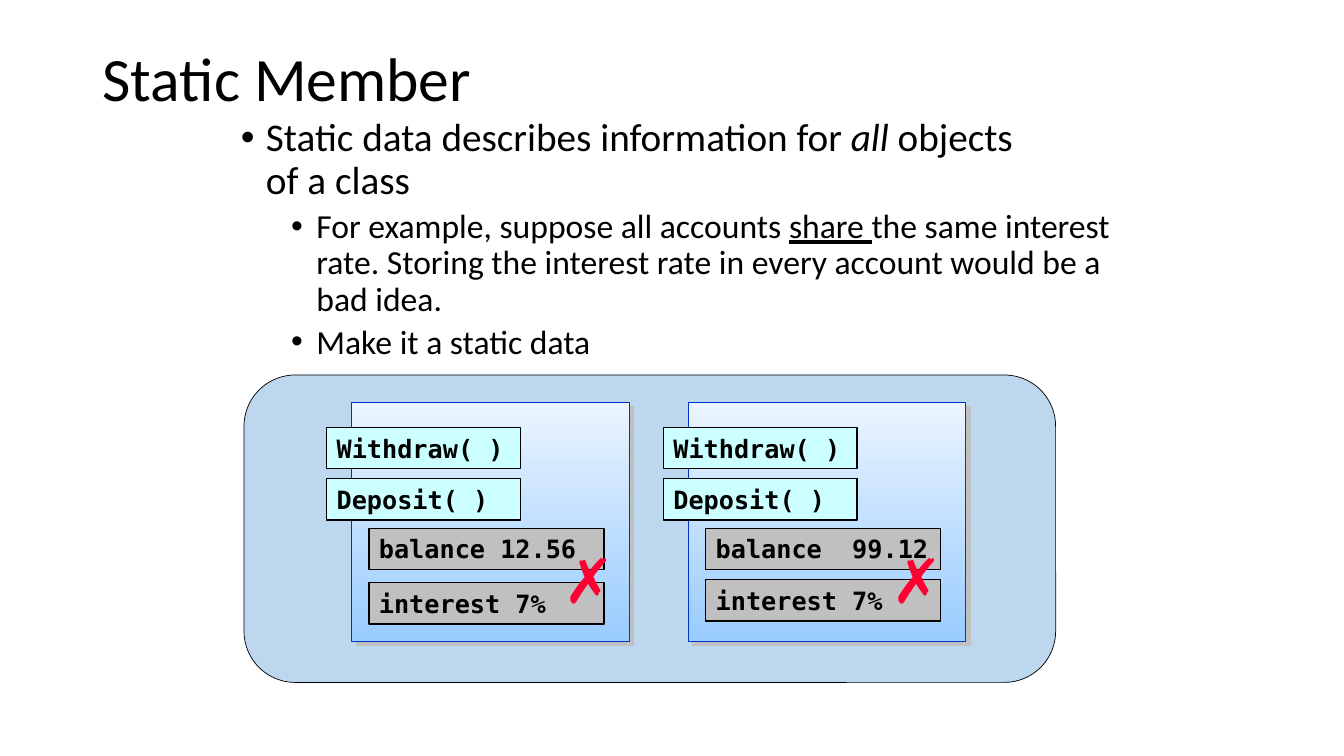
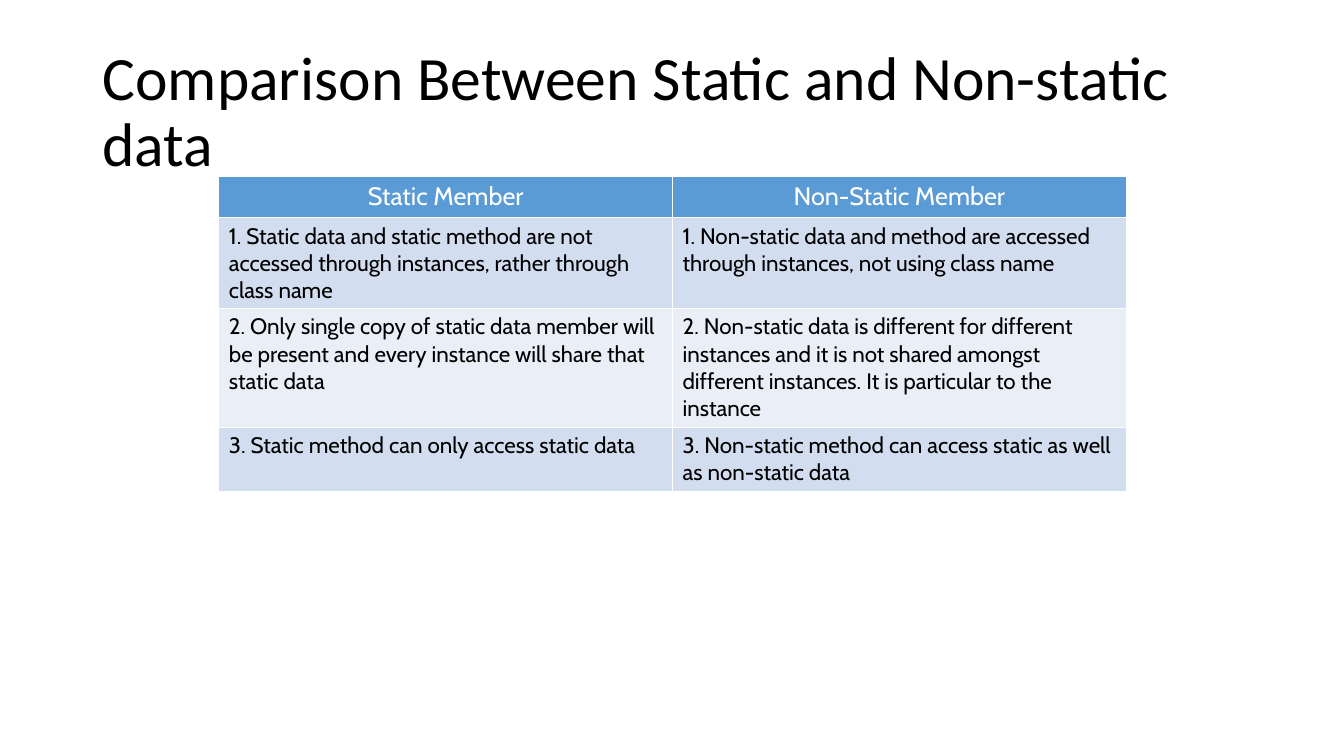
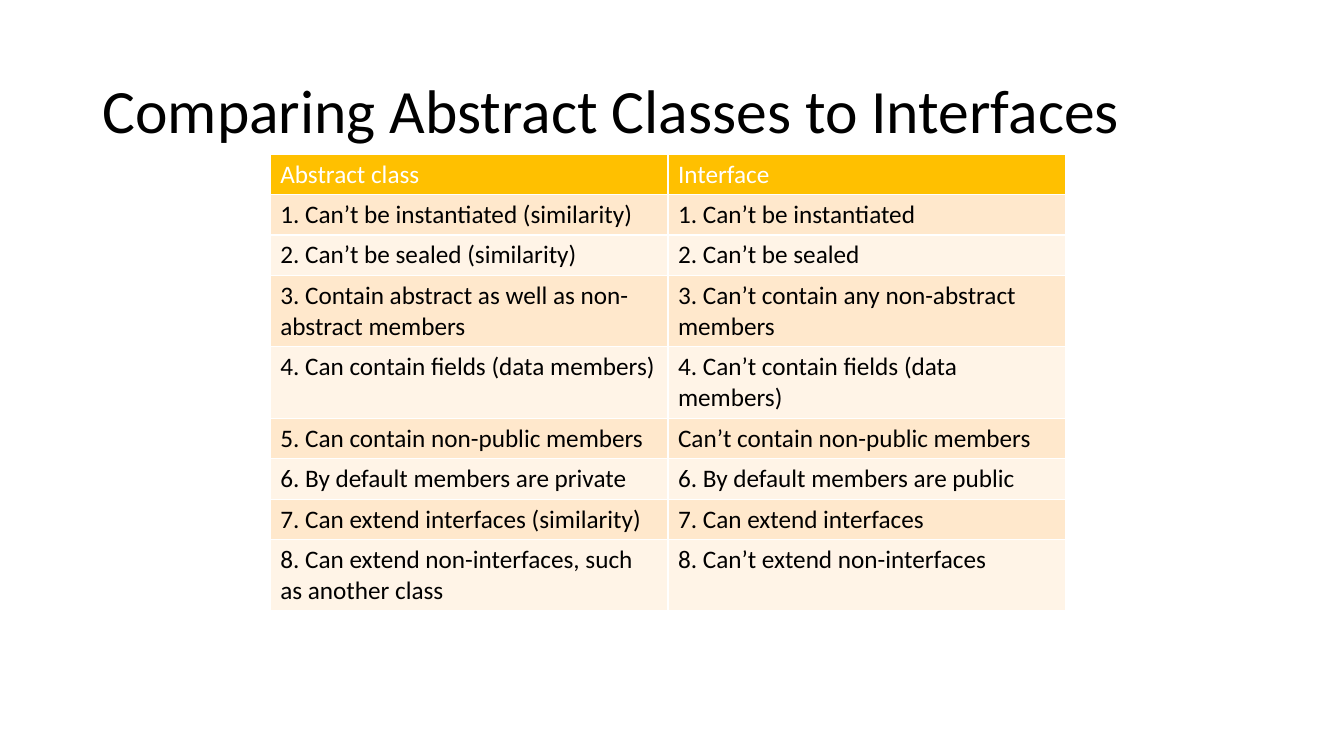
from lxml import etree
from pptx import Presentation
from pptx.dml.color import RGBColor
from pptx.enum.shapes import MSO_SHAPE
from pptx.enum.text import MSO_ANCHOR, MSO_AUTO_SIZE, PP_ALIGN
from pptx.oxml import parse_xml
from pptx.util import Inches, Pt

RECTANGLE = MSO_SHAPE.RECTANGLE
ROUNDED = MSO_SHAPE.ROUNDED_RECTANGLE
MIDDLE = MSO_ANCHOR.MIDDLE
GROW = MSO_AUTO_SIZE.SHAPE_TO_FIT_TEXT
CENTER, LEFT = PP_ALIGN.CENTER, PP_ALIGN.LEFT
DRAWING = "http://schemas.openxmlformats.org/drawingml/2006/main"

BLACK, WHITE = "000000", "FFFFFF"
TITLE_FONT = {"name": "Calibri", "size": Pt(44)}
POINT_FONT = {"name": "Calibri", "size": Pt(28)}
DETAIL_FONT = {"name": "Calibri", "size": Pt(24)}
CODE_FONT = {"name": "DejaVu Sans Mono", "size": Pt(18), "bold": True}
CROSS_FONT = {"name": "Arial", "size": Pt(44)}

SHADOW = f"""<a:effectLst xmlns:a="{DRAWING}">
  <a:outerShdw dist="53340" dir="2700000" algn="ctr" rotWithShape="0">
    <a:srgbClr val="C0C0C0"/>
  </a:outerShdw>
</a:effectLst>"""
BORDER = f"""<a:{{side}} xmlns:a="{DRAWING}" w="12700">
  <a:solidFill><a:srgbClr val="FFFFFF"/></a:solidFill>
</a:{{side}}>"""


def write(para, text, font, color=BLACK):
    span = para.add_run()
    span.text = text
    for key, value in font.items():
        setattr(span.font, key, value)
    span.font.color.rgb = RGBColor.from_string(color)


def add_box(page, kind, place, fill, line, width):
    box = page.shapes.add_shape(kind, *map(Inches, place))
    box.shadow.inherit = False
    if isinstance(fill, str):
        box.fill.solid()
        box.fill.fore_color.rgb = RGBColor.from_string(fill)
    else:
        box.fill.gradient()
        box.fill.gradient_angle = 270
        for stop, color in zip(box.fill.gradient_stops, fill):
            stop.color.rgb = RGBColor.from_string(color)
    box.line.color.rgb = RGBColor.from_string(line)
    box.line.width = Pt(width)
    return box


deck = Presentation()
deck.slide_width, deck.slide_height = Inches(13.33), Inches(7.5)

titles = [
    ("Static Member", 0.81),
    ("Comparison Between Static and Non-static data", 1.45),
    ("Comparing Abstract Classes to Interfaces", 1.45),
]
pages = []
for title, height in titles:
    page = deck.slides.add_slide(deck.slide_layouts[6])
    box = page.shapes.add_textbox(Inches(0.92), Inches(0.4), Inches(11.5), Inches(height))
    box.text_frame.word_wrap = True
    box.text_frame.vertical_anchor = MIDDLE
    para = box.text_frame.paragraphs[0]
    para.line_spacing = 0.9
    write(para, title, TITLE_FONT)
    pages.append(page)
member_page, data_page, class_page = pages

panel = add_box(member_page, ROUNDED, (2.42, 3.72, 8.05, 3.05), "BDD7EE", BLACK, 0.5)

body = member_page.shapes.add_textbox(Inches(2.29), Inches(1.12), Inches(8.83), Inches(5.6))
body.text_frame.word_wrap = True
points = [
    (0, POINT_FONT, [
        ("Static data describes information for ", {}),
        ("all", {"italic": True}),
        (" objects ", {}),
        ("\n", {}),
        ("of a class", {}),
    ]),
    (1, DETAIL_FONT, [
        ("For example, suppose all accounts ", {}),
        ("share ", {"underline": True}),
        ("the same interest rate. Storing the interest rate in every account "
         "would be a bad idea.", {}),
    ]),
    (1, DETAIL_FONT, [("Make it a static data", {})]),
]
for index, (level, font, spans) in enumerate(points):
    para = body.text_frame.add_paragraph() if index else body.text_frame.paragraphs[0]
    para.level = level
    para.line_spacing = 0.9
    para.space_before = Pt(5 if level else 10)
    properties = para._p.get_or_add_pPr()
    properties.set("marL", str(Inches(0.25 + 0.5 * level)))
    properties.set("indent", str(Inches(-0.25)))
    etree.SubElement(properties, f"{{{DRAWING}}}buFont").set("typeface", "Arial")
    etree.SubElement(properties, f"{{{DRAWING}}}buChar").set("char", "•")
    for text, extra in spans:
        if text == "\n":
            para.add_line_break()
        else:
            write(para, text, {**font, **extra})

accounts = [
    (3.49, "balance 12.56", 5.78, 5.49),
    (6.83, "balance  99.12", 5.75, 8.74),
]
for left, balance, interest_top, cross_left in accounts:
    card = add_box(member_page, RECTANGLE, (left, 3.99, 2.75, 2.37),
                   ("EBF4FF", "99CCFF"), "0033CC", 0.75)
    properties = card._element.spPr
    properties.remove(properties.find(f"{{{DRAWING}}}effectLst"))
    properties.append(parse_xml(SHADOW))
    members = [
        ("Withdraw( )", -0.25, 4.24, 1.92, "CCFFFF"),
        ("Deposit( )", -0.25, 4.75, 1.92, "CCFFFF"),
        (balance, 0.17, 5.24, 2.33, "C0C0C0"),
        ("interest 7%", 0.17, interest_top, 2.33, "C0C0C0"),
    ]
    for text, shift, top, width, fill in members:
        box = add_box(member_page, RECTANGLE, (left + shift, top, width, 0.41), fill, BLACK, 1)
        box.text_frame.auto_size = GROW
        para = box.text_frame.paragraphs[0]
        para.alignment = LEFT
        write(para, text, CODE_FONT)

for left, balance, interest_top, cross_left in accounts:
    cross = member_page.shapes.add_textbox(
        Inches(cross_left), Inches(5.33), Inches(0.6), Inches(0.84))
    cross.text_frame.word_wrap = False
    cross.text_frame.auto_size = GROW
    write(cross.text_frame.paragraphs[0], "✗", CROSS_FONT, "FF0033")

data_rows = [
    ("Static Member", "Non-Static Member"),
    ("1. Static data and static method are not accessed through instances, "
     "rather through class name",
     "1. Non-static data and method are accessed through instances, not using class name"),
    ("2. Only single copy of static data member will be present and every instance "
     "will share that static data",
     "2. Non-static data is different for different instances and it is not shared "
     "amongst different instances. It is particular to the instance"),
    ("3. Static method can only access static data",
     "3. Non-static method can access static as well as non-static data"),
]
class_rows = [
    ("Abstract class", "Interface"),
    ("1. Can’t be instantiated (similarity)", "1. Can’t be instantiated"),
    ("2. Can’t be sealed (similarity)", "2. Can’t be sealed"),
    ("3. Contain abstract as well as non-abstract members",
     "3. Can’t contain any non-abstract members"),
    ("4. Can contain fields (data members)", "4. Can’t contain fields (data members)"),
    ("5. Can contain non-public members", "Can’t contain non-public members"),
    ("6. By default members are private", "6. By default members are public"),
    ("7. Can extend interfaces (similarity)", "7. Can extend interfaces"),
    ("8. Can extend non-interfaces, such as another class", "8. Can’t extend non-interfaces"),
]
tables = [
    (data_page, data_rows, (2.17, 1.75, 9), (0.41, 0.9, 1.18, 0.62),
     ("5B9BD5", "D2DEEF", "EAEFF7"), "Cabin", 16, CENTER),
    (class_page, class_rows, (2.68, 1.53, 7.89),
     (0.4, 0.4, 0.4, 0.71, 0.71, 0.4, 0.4, 0.4, 0.71),
     ("FFC000", "FFE8CC", "FFF4E7"), "Calibri", 18, LEFT),
]
for page, rows, (left, top, width), heights, fills, font_name, body_size, alignment in tables:
    head_fill, odd_fill, even_fill = fills
    table = page.shapes.add_table(
        len(rows), 2, Inches(left), Inches(top), Inches(width), Inches(sum(heights))).table
    for row_index, (texts, height) in enumerate(zip(rows, heights)):
        table.rows[row_index].height = Inches(height)
        is_head = row_index == 0
        fill = head_fill if is_head else odd_fill if row_index % 2 else even_fill
        font = {"name": font_name, "size": Pt(18 if is_head else body_size), "bold": False}
        for column, text in enumerate(texts):
            cell = table.cell(row_index, column)
            properties = cell._tc.get_or_add_tcPr()
            for side in ("lnL", "lnR", "lnT", "lnB"):
                properties.append(parse_xml(BORDER.format(side=side)))
            cell.fill.solid()
            cell.fill.fore_color.rgb = RGBColor.from_string(fill)
            para = cell.text_frame.paragraphs[0]
            para.alignment = alignment if is_head else LEFT
            write(para, text, font, WHITE if is_head else BLACK)

deck.save("out.pptx")
